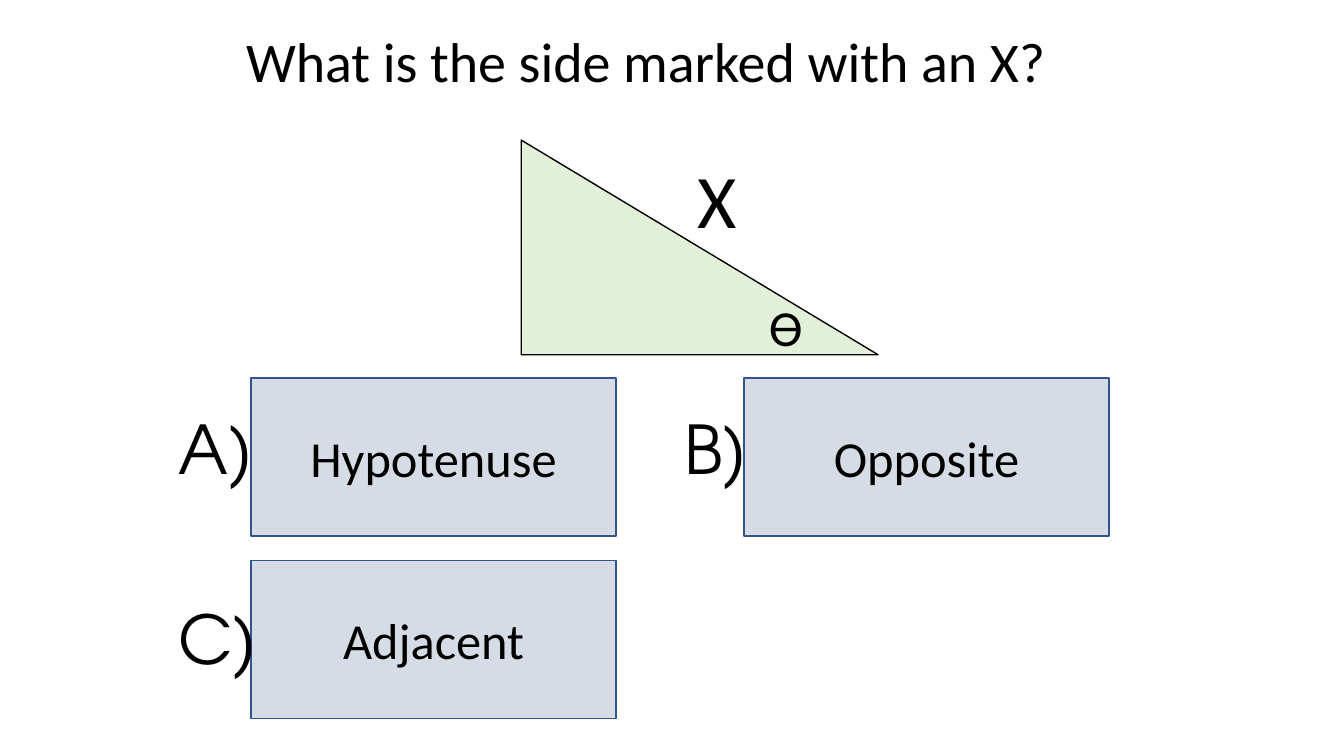
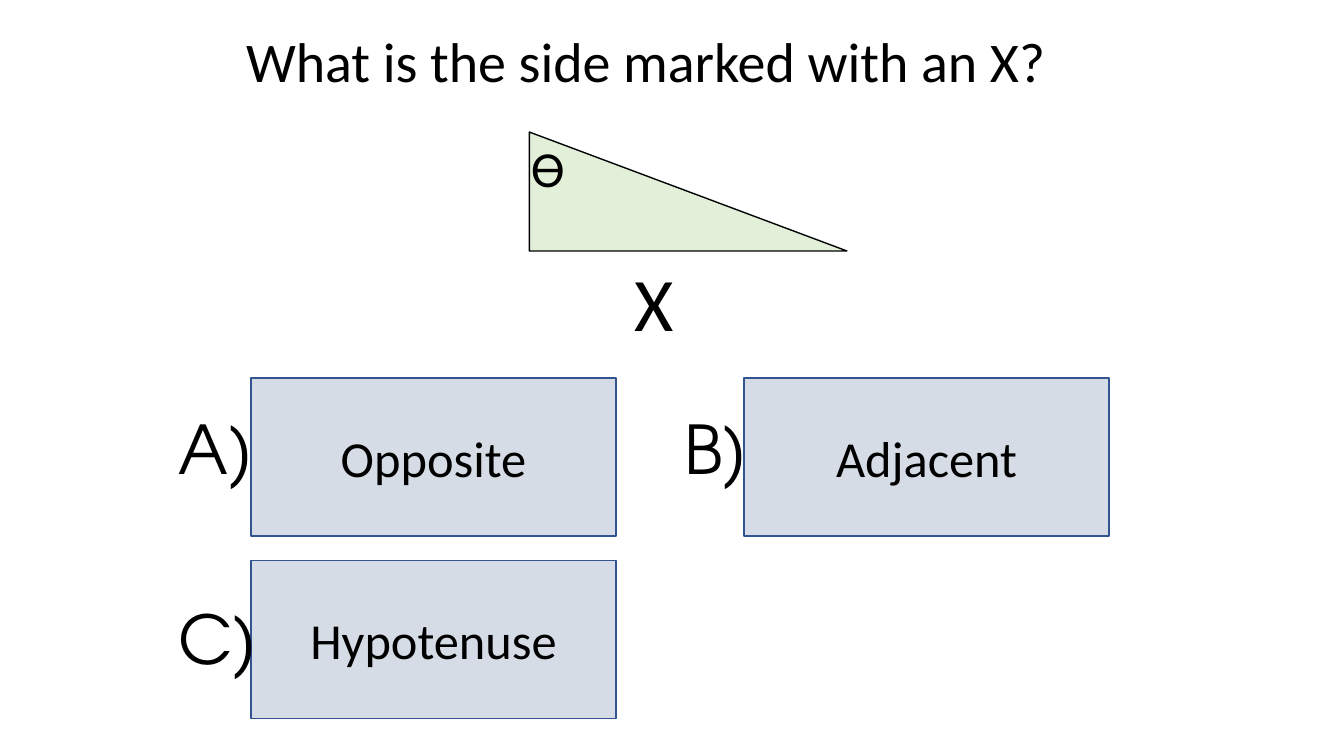
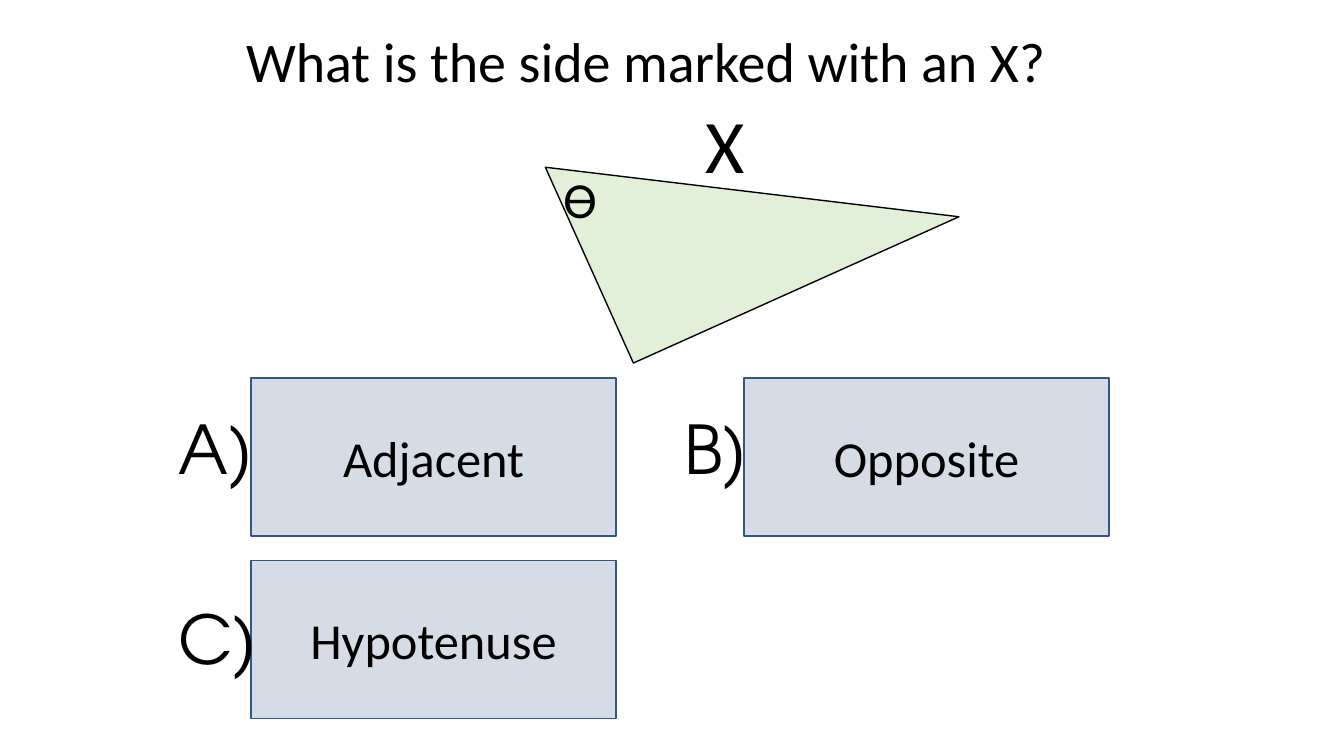
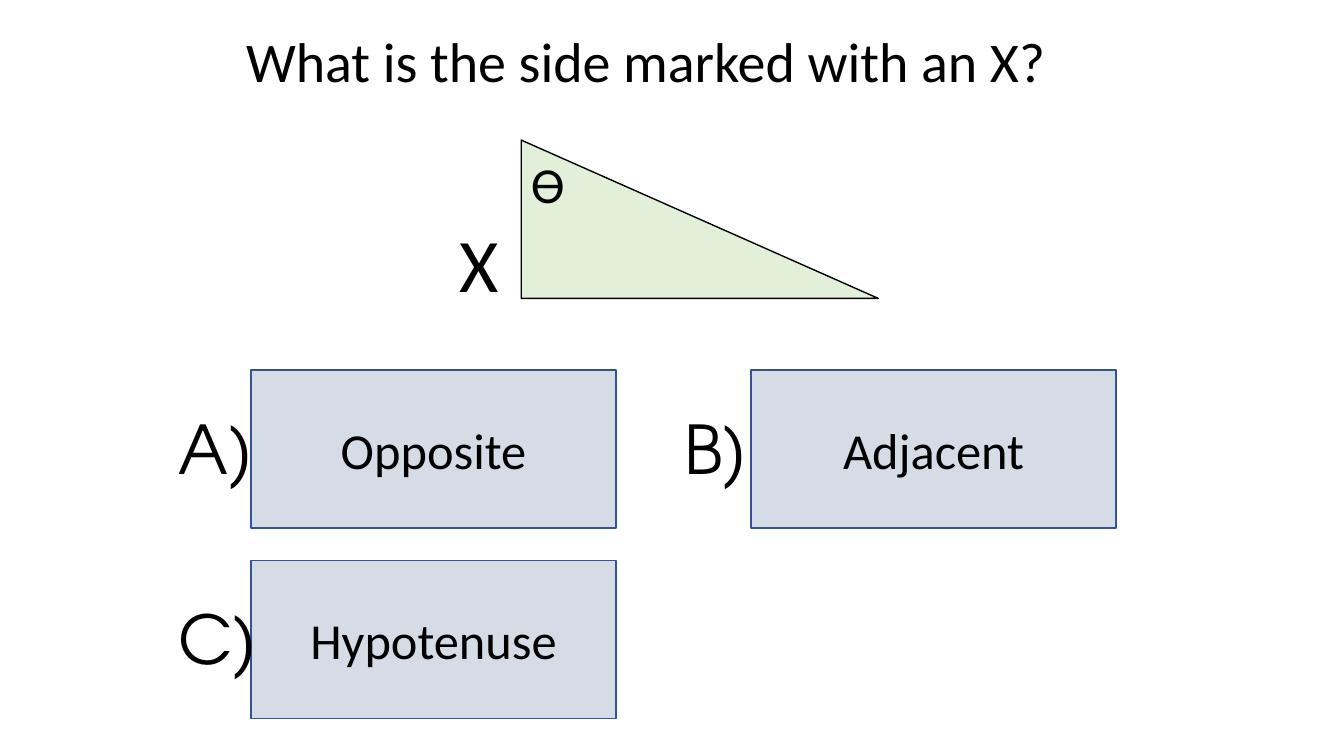
from pptx import Presentation
from pptx.dml.color import RGBColor
from pptx.enum.shapes import MSO_SHAPE
from pptx.enum.text import MSO_ANCHOR, MSO_AUTO_SIZE, PP_ALIGN
from pptx.util import Inches, Pt

# Shared style
COLORS = {
    "text": "000000",
    "answer_fill": "D6DCE5",
    "answer_line": "325491",
    "triangle_fill": "E2F0D9",
    "triangle_line": "000000",
}
BODY_FONT = "Calibri"
LETTER_FONT = "TeX Gyre Adventor"
QUESTION = "What is the side marked with an X?"

# Answer grid: left, top and width of each letter; left and top of each answer
ANSWER_WIDTH, ANSWER_HEIGHT = 3.62, 1.57
LETTERS = [("A)", 1.67, 3.99, 0.95), ("B)", 6.69, 3.99, 0.84), ("C)", 1.67, 5.88, 1)]
LEFT_COLUMN, RIGHT_COLUMN = 2.49, 7.38
TOP_ROW, BOTTOM_ROW = 3.75, 5.56

# One entry per slide; triangle is left, top, width, height
QUIZ = [
    {"answers": ["Hypotenuse", "Opposite", "Adjacent"],
     "triangle": (5.17, 1.39, 3.54, 2.13), "theta": (7.53, 2.89), "x": (6.82, 1.47)},
    {"answers": ["Opposite", "Adjacent", "Hypotenuse"],
     "triangle": (5.25, 1.31, 3.15, 1.18), "theta": (5.17, 1.31), "x": (6.19, 2.49)},
    {"answers": ["Adjacent", "Opposite", "Hypotenuse"], "rotation": 335.8,
     "triangle": (5.69, 0.84, 3.54, 2.13), "theta": (5.49, 1.62), "x": (6.9, 0.92)},
    {"answers": ["Opposite", "Adjacent", "Hypotenuse"],
     "right_column": 7.45, "top_row": 3.67,
     "triangle": (5.17, 1.39, 3.54, 1.57), "theta": (5.17, 1.47), "x": (4.46, 2.1)},
]


def write_text(shape, text, size, font=BODY_FONT, align=PP_ALIGN.LEFT,
               anchor=MSO_ANCHOR.TOP, wrap=True, fit=MSO_AUTO_SIZE.SHAPE_TO_FIT_TEXT):
    frame = shape.text_frame
    frame.word_wrap = wrap
    frame.auto_size = fit
    frame.vertical_anchor = anchor
    paragraph = frame.paragraphs[0]
    paragraph.alignment = align
    run = paragraph.add_run()
    run.text = text
    run.font.name = font
    run.font.size = Pt(size)
    run.font.color.rgb = RGBColor.from_string(COLORS["text"])


def add_box(slide, kind, box, style):
    shape = slide.shapes.add_shape(kind, *map(Inches, box))
    shape.shadow.inherit = False
    shape.fill.solid()
    shape.fill.fore_color.rgb = RGBColor.from_string(COLORS[style + "_fill"])
    shape.line.color.rgb = RGBColor.from_string(COLORS[style + "_line"])
    shape.line.width = Pt(1)
    return shape


presentation = Presentation()
presentation.slide_width = Inches(13.33)
presentation.slide_height = Inches(7.5)
title_only = presentation.slide_layouts[5]

for item in QUIZ:
    slide = presentation.slides.add_slide(title_only)

    # Question
    title = slide.shapes.title
    title.left, title.top = Inches(2.34), Inches(0.21)
    title.width, title.height = Inches(8.58), Inches(1.45)
    write_text(title, QUESTION, 40)

    # Answers
    top_row = item.get("top_row", TOP_ROW)
    right_column = item.get("right_column", RIGHT_COLUMN)
    places = [(LEFT_COLUMN, top_row), (right_column, top_row), (LEFT_COLUMN, BOTTOM_ROW)]
    for answer, place in zip(item["answers"], places):
        box = add_box(slide, MSO_SHAPE.RECTANGLE,
                      (*place, ANSWER_WIDTH, ANSWER_HEIGHT), "answer")
        write_text(box, answer, 36, align=PP_ALIGN.CENTER,
                   anchor=MSO_ANCHOR.MIDDLE, fit=MSO_AUTO_SIZE.NONE)

    # Triangle
    triangle = add_box(slide, MSO_SHAPE.RIGHT_TRIANGLE, item["triangle"], "triangle")
    triangle.rotation = item.get("rotation", 0)

    # Answer letters and triangle marks
    labels = [(text, left, top, width, 0.91, 48, LETTER_FONT)
              for text, left, top, width in LETTERS]
    labels.append(("ϴ", *item["theta"], 0.54, 0.71, 36, BODY_FONT))
    labels.append(("X", *item["x"], 0.66, 1.01, 54, BODY_FONT))
    for text, left, top, width, height, size, font in labels:
        label = slide.shapes.add_textbox(Inches(left), Inches(top),
                                         Inches(width), Inches(height))
        write_text(label, text, size, font=font, wrap=False)

presentation.save("out.pptx")
